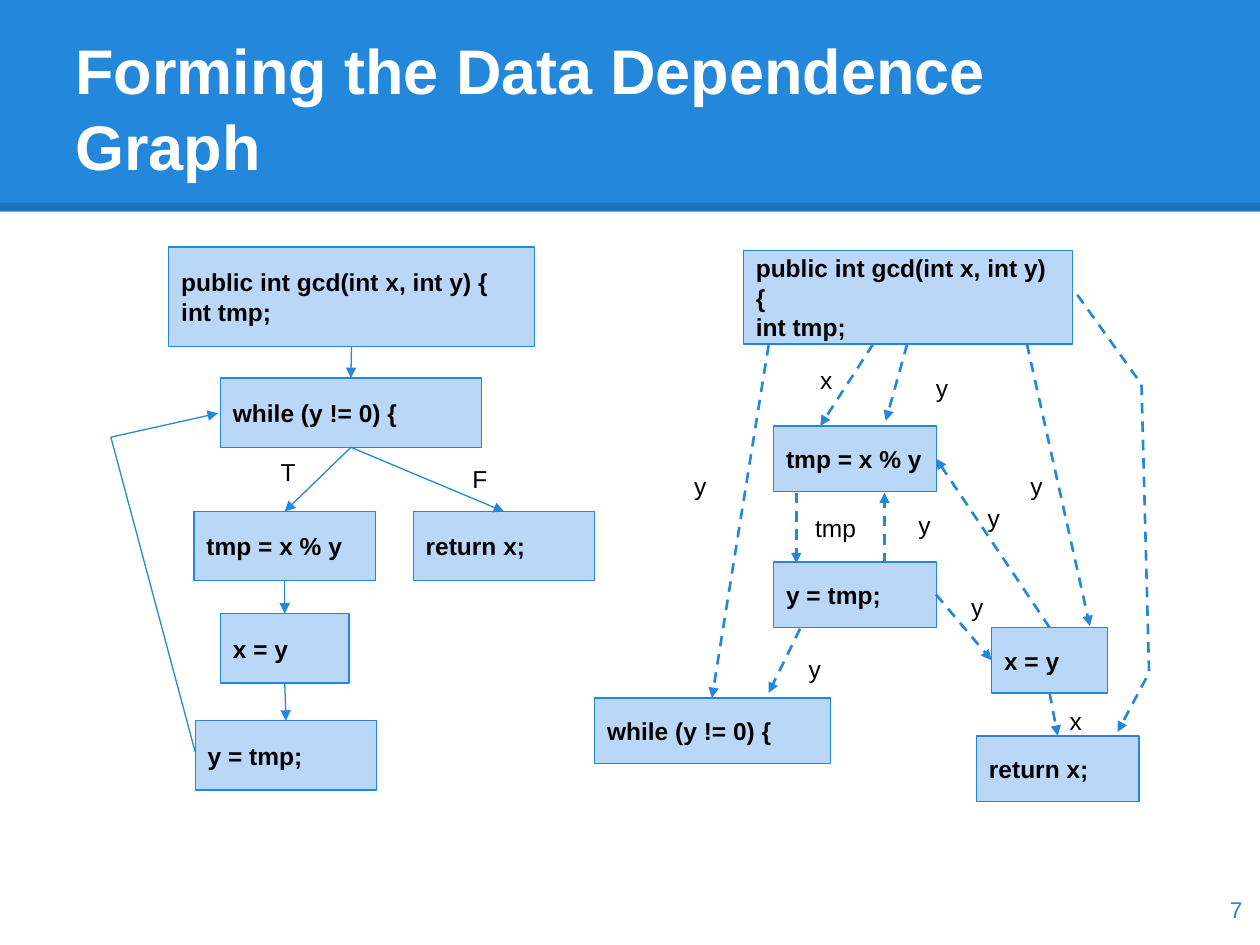
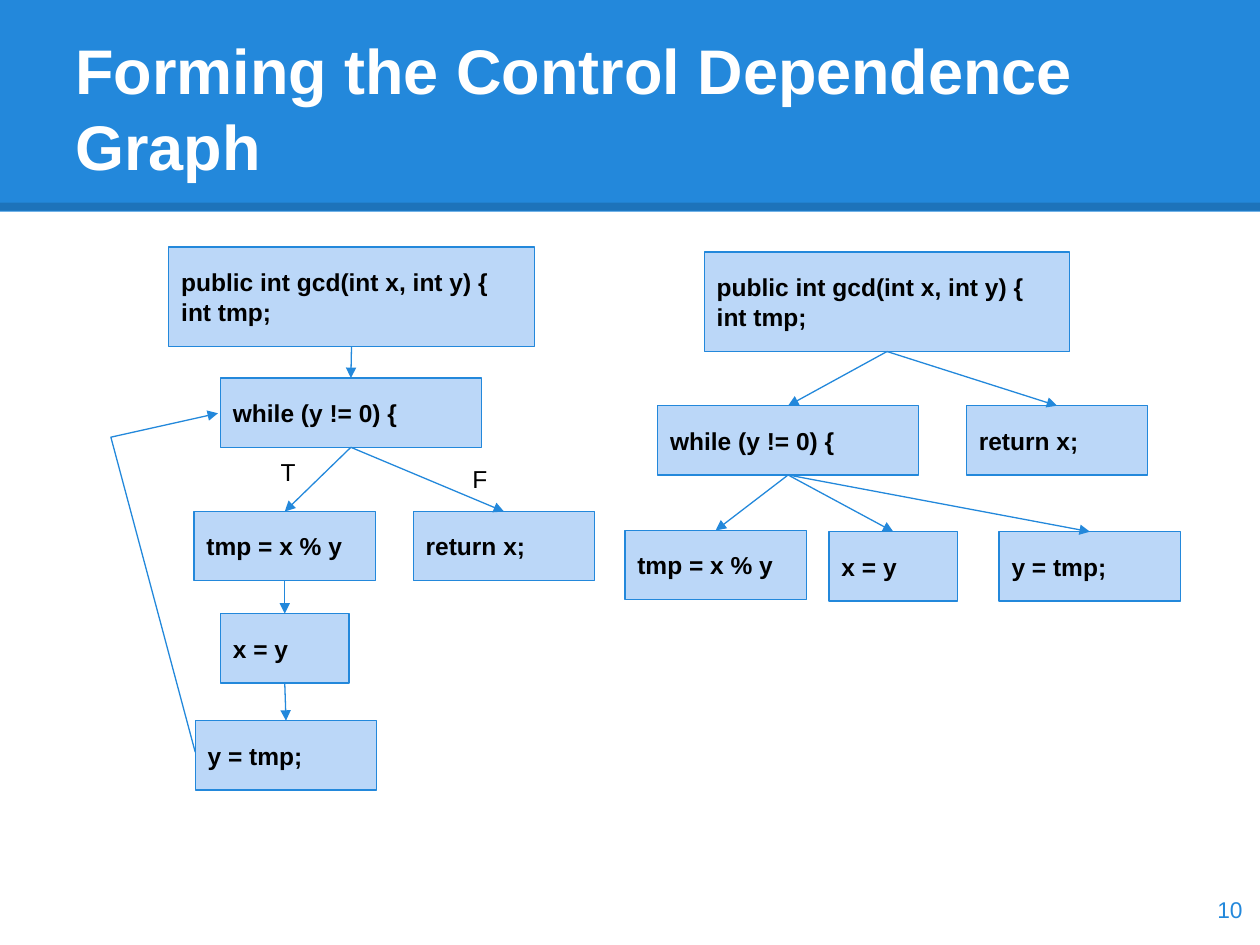
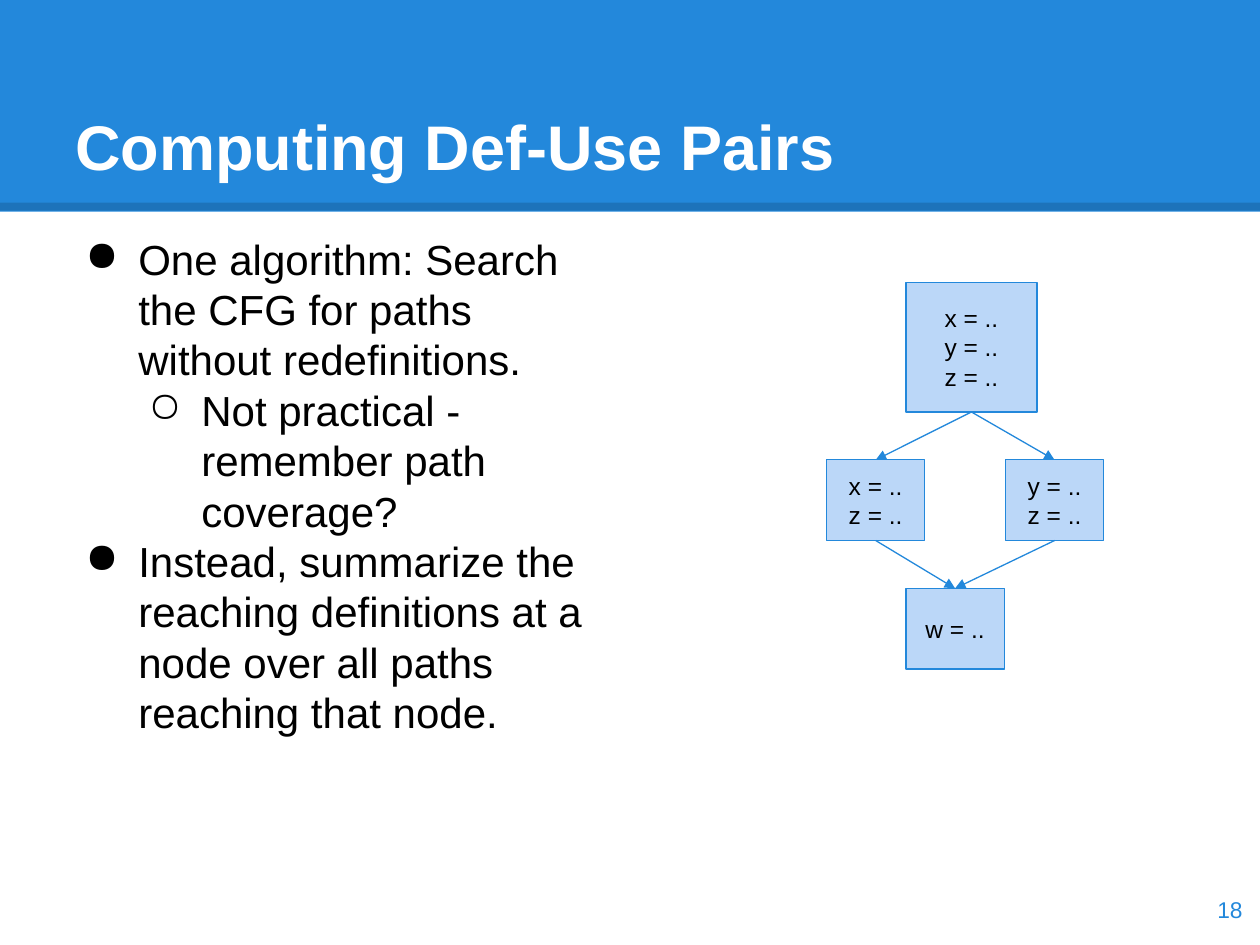
from lxml import etree
from pptx import Presentation
from pptx.dml.color import RGBColor
from pptx.enum.dml import MSO_LINE
from pptx.enum.shapes import MSO_CONNECTOR, MSO_SHAPE
from pptx.enum.text import MSO_ANCHOR, PP_ALIGN
from pptx.oxml.ns import qn
from pptx.util import Pt

PX = 9144
FONT = "Arial"
RECT = MSO_SHAPE.RECTANGLE
STRAIGHT = MSO_CONNECTOR.STRAIGHT
DASH = MSO_LINE.DASH
TOP, MIDDLE, BOTTOM = MSO_ANCHOR.TOP, MSO_ANCHOR.MIDDLE, MSO_ANCHOR.BOTTOM
LEFT, CENTER, RIGHT = PP_ALIGN.LEFT, PP_ALIGN.CENTER, PP_ALIGN.RIGHT
INK = {"blue": "2388DB", "pale": "BBD7F8", "black": "000000", "white": "FFFFFF"}
COLOR = {name: RGBColor.from_string(code) for name, code in INK.items()}

CODE = {
    "gcd": "public int gcd(int x, int y) {\nint tmp;",
    "loop": "while (y != 0) {",
    "mod": "tmp = x % y",
    "setx": "x = y",
    "sety": "y = tmp;",
    "exit": "return x;",
}

FLOW = {
    "text": CODE,
    "nodes": {
        "gcd": (134, 196, 290, 79),
        "mod": (154, 406, 144, 55),
        "sety": (155, 572, 144, 55),
        "loop": (175, 300, 207, 55),
        "setx": (175, 487, 102, 55),
        "exit": (328, 406, 144, 55),
    },
    "links": [("gcd", "loop"), ("loop", "exit"), ("loop", "mod"),
              ("mod", "setx"), ("setx", "sety")],
    "bend": [(155, 597), (88, 347), (173, 328)],
    "tags": [("T", 213, 356, 26, 17), ("F", 365, 361, 50, 17)],
}

DATA = {
    "text": CODE,
    "dash": True,
    "nodes": {
        "gcd": (590, 199, 261, 74),
        "mod": (614, 338, 129, 52),
        "sety": (614, 446, 129, 52),
        "loop": (472, 554, 187, 52),
        "setx": (787, 498, 92, 52),
        "exit": (775, 584, 129, 52),
    },
    "links": [("sety", "setx", 3, 1), ("setx", "mod", 0, 3), ("setx", "exit")],
    "lines": [(693, 273, 651, 338), (720, 273, 703, 334), (702, 447, 702, 391),
              (632, 391, 632, 447), (610, 274, 565, 554), (635, 499, 610, 550),
              (815, 273, 865, 497)],
    "bend": [(855, 234), (906, 305), (912, 534), (887, 581)],
    "tags": [("x", 641, 280, 45, 52), ("y", 733, 286, 35, 35),
             ("y", 719, 395, 35, 35), ("tmp", 637, 397, 61, 20),
             ("y", 541, 364, 42, 35), ("y", 632, 509, 35, 35),
             ("y", 761, 460, 35, 35), ("y", 774, 389, 35, 35),
             ("y", 808, 364, 35, 35), ("x", 839, 550, 35, 35)],
}

TREE = {
    "text": CODE,
    "nodes": {
        "gcd": (559, 200, 290, 79),
        "mod": (496, 421, 144, 55),
        "sety": (793, 422, 144, 55),
        "loop": (522, 322, 207, 55),
        "setx": (658, 422, 102, 55),
        "exit": (767, 322, 144, 55),
    },
    "links": [("gcd", "exit"), ("gcd", "loop"), ("loop", "mod"),
              ("loop", "setx"), ("loop", "sety")],
}

PAIRS = {
    "plain": True,
    "text": {"start": "x = ..\ny = ..\nz = ..", "left": "x = ..\nz = ..",
             "right": "y = ..\nz = ..", "end": "w = .."},
    "nodes": {
        "start": (719, 224, 104, 103),
        "left": (656, 365, 78, 64),
        "right": (798, 365, 78, 64),
        "end": (719, 467, 78, 64),
    },
    "links": [("start", "left"), ("start", "right"), ("left", "end"), ("right", "end")],
}

NOTES = [
    (0, "One algorithm: Search the CFG for paths without redefinitions."),
    (1, "Not practical - remember path coverage?"),
    (0, "Instead, summarize the reaching definitions at a node over all paths reaching that node."),
]

PAGES = [
    ("Forming the Data Dependence Graph", 7, [DATA, FLOW], []),
    ("Forming the Control Dependence Graph", 10, [FLOW, TREE], []),
    ("Computing Def-Use Pairs", 18, [PAIRS], NOTES),
]


def write(shape, text, size=14, color="black", bold=False, align=LEFT, anchor=TOP):
    frame = shape.text_frame
    frame.text = text
    frame.word_wrap = True
    frame.vertical_anchor = anchor
    frame.margin_left = frame.margin_right = 10 * PX
    frame.margin_top = frame.margin_bottom = 10 * PX
    for para in frame.paragraphs:
        para.alignment = align
        for run in para.runs:
            run.font.name = FONT
            run.font.size = Pt(size)
            run.font.bold = bold
            run.font.color.rgb = COLOR[color]


def ink(shape, color="blue", width=0.75, dash=False, arrow=True):
    shape.line.color.rgb = COLOR[color]
    shape.line.width = Pt(width)
    if dash:
        shape.line.dash_style = DASH
    line = shape.get_or_add_ln()
    if arrow:
        etree.SubElement(line, qn("a:tailEnd"), type="triangle")
    etree.SubElement(line.getparent(), qn("a:effectLst"))


deck = Presentation()
deck.slide_width = 1000 * PX
deck.slide_height = 750 * PX

for title, number, graphs, notes in PAGES:
    shapes = deck.slides.add_slide(deck.slide_layouts[6]).shapes

    band = shapes.add_shape(RECT, 0, 0, 1000 * PX, 168 * PX)
    band.shadow.inherit = False
    band.fill.solid()
    band.fill.fore_color.rgb = COLOR["blue"]
    band.line.fill.background()
    edge = shapes.add_connector(STRAIGHT, 0, 164 * PX, 1000 * PX, 164 * PX)
    ink(edge, "black", 4.5, arrow=False)
    tint = edge.get_or_add_ln().find(".//" + qn("a:srgbClr"))
    etree.SubElement(tint, qn("a:alpha"), val="15000")

    head = shapes.add_textbox(50 * PX, 30 * PX, 900 * PX, 125 * PX)
    write(head, title, 36, "white", True, anchor=BOTTOM)

    if notes:
        body = shapes.add_textbox(50 * PX, 175 * PX, 437 * PX, 543 * PX)
        write(body, "\n".join(text for level, text in notes), 24)
        for para, (level, text) in zip(body.text_frame.paragraphs, notes):
            para.level = level
            props = para._p.get_or_add_pPr()
            props.set("marL", str(50 * (level + 1) * PX))
            props.set("indent", str(-42 * PX))
            tint = etree.SubElement(props, qn("a:buClr"))
            etree.SubElement(tint, qn("a:srgbClr"), val=INK["black"])
            etree.SubElement(props, qn("a:buChar"), char="●○"[level])

    for graph in graphs:
        plain = graph.get("plain", False)
        dash = graph.get("dash", False)
        width = 1.5 if dash else 0.75
        boxes = {}
        for name, spot in graph["nodes"].items():
            box = shapes.add_shape(RECT, *[n * PX for n in spot])
            box.fill.solid()
            box.fill.fore_color.rgb = COLOR["pale"]
            ink(box, arrow=False)
            write(box, graph["text"][name], bold=not plain,
                  align=CENTER if plain else LEFT, anchor=MIDDLE)
            boxes[name] = box

        for start, end, *sides in graph["links"]:
            out, into = sides or (2, 0)
            link = shapes.add_connector(STRAIGHT, 0, 0, 0, 0)
            link.begin_connect(boxes[start], out)
            link.end_connect(boxes[end], into)
            ink(link, width=width, dash=dash)

        for ends in graph.get("lines", []):
            link = shapes.add_connector(STRAIGHT, *[n * PX for n in ends])
            ink(link, width=width, dash=dash)

        if "bend" in graph:
            first, *rest = graph["bend"]
            pen = shapes.build_freeform(*first, scale=PX)
            pen.add_line_segments(rest, close=False)
            bend = pen.convert_to_shape()
            bend.fill.background()
            ink(bend, width=width, dash=dash)

        for text, *spot in graph.get("tags", []):
            write(shapes.add_textbox(*[n * PX for n in spot]), text)

    foot = shapes.add_textbox(936 * PX, 693 * PX, 60 * PX, 57 * PX)
    write(foot, str(number), 13, "blue", align=RIGHT, anchor=MIDDLE)

deck.save("out.pptx")
